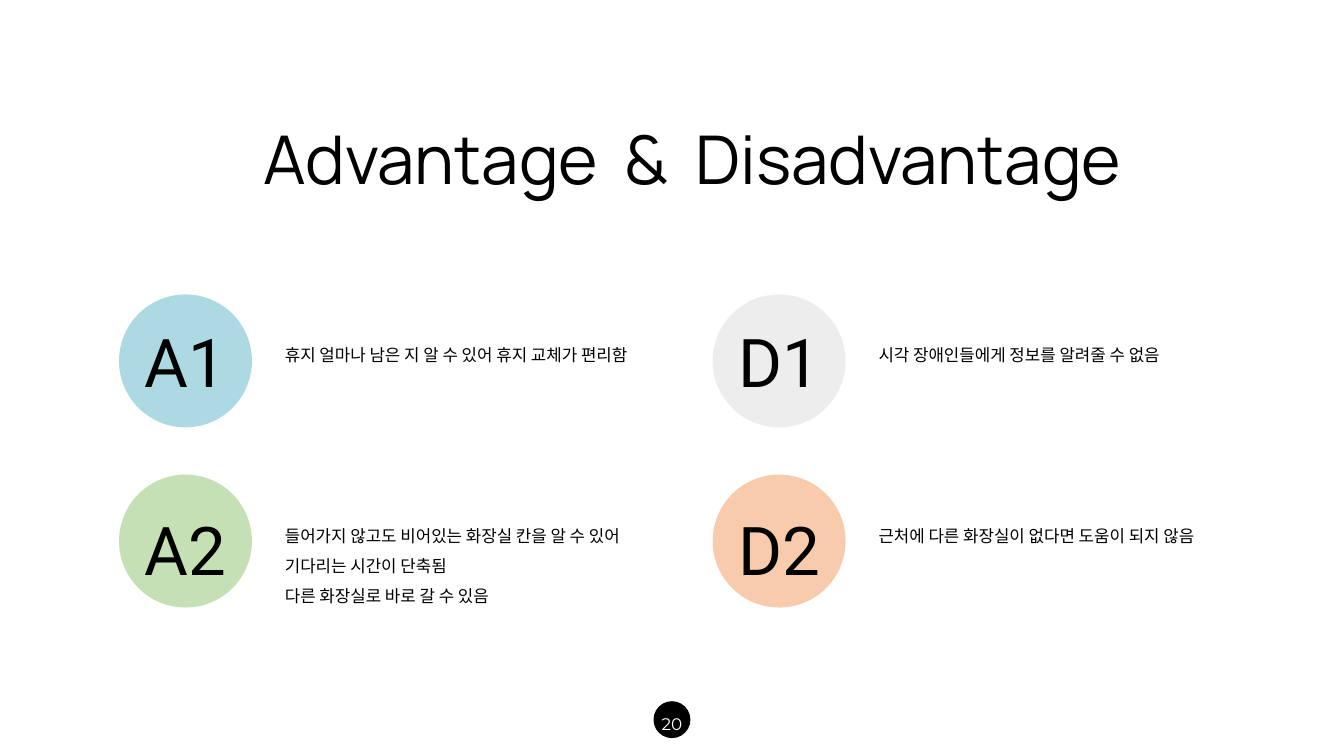
from pptx import Presentation
from pptx.dml.color import RGBColor
from pptx.enum.shapes import MSO_SHAPE
from pptx.enum.text import MSO_ANCHOR, MSO_AUTO_SIZE, PP_ALIGN
from pptx.util import Cm, Pt

BLACK = RGBColor(0x00, 0x00, 0x00)
WHITE = RGBColor(0xFF, 0xFF, 0xFF)
BLUE = RGBColor(0xAC, 0xD9, 0xE2)
GREEN = RGBColor(0xC5, 0xE0, 0xB4)
GRAY = RGBColor(0xED, 0xED, 0xED)
PEACH = RGBColor(0xF8, 0xCB, 0xAD)

STYLE = {
    "title": ({"name": "Manrope", "size": Pt(48)}, {"alignment": PP_ALIGN.LEFT, "line_spacing": 1.0}, BLACK),
    "label": ({"name": "Roboto", "size": Pt(48)}, {"alignment": PP_ALIGN.CENTER}, BLACK),
    "note": ({"name": "Manrope", "size": Pt(12)}, {"line_spacing": 1.5}, BLACK),
    "page": ({"name": "Montserrat", "size": Pt(12)}, {"alignment": PP_ALIGN.CENTER, "line_spacing": 1.5}, WHITE),
}
FRAME = {"word_wrap": True, "auto_size": MSO_AUTO_SIZE.NONE, "vertical_anchor": MSO_ANCHOR.TOP}
SIZE = 3.35
COLS = 3, 17.96
ROWS = 7.42, 11.96
DROPS = 0.52, 0.72
ITEMS = [
    (0, 0, "A1", BLUE, ["휴지 얼마나 남은 지 알 수 있어 휴지 교체가 편리함"]),
    (0, 1, "A2", GREEN, ["들어가지 않고도 비어있는 화장실 칸을 알 수 있어 기다리는 시간이 단축됨",
                         "다른 화장실로 바로 갈 수 있음"]),
    (1, 0, "D1", GRAY, ["시각 장애인들에게 정보를 알려줄 수 없음"]),
    (1, 1, "D2", PEACH, ["근처에 다른 화장실이 없다면 도움이 되지 않음"]),
]


def format(item, values):
    for key, value in values.items():
        setattr(item, key, value)


class Deck:
    """Holds the text styles and the current slide."""

    def __init__(self, style):
        self.style = style
        self.show = Presentation()
        format(self.show, {"slide_width": Cm(33.87), "slide_height": Cm(19.05)})
        self.slide = self.show.slides.add_slide(self.show.slide_layouts[5])

    def fill(self, frame, kind, lines):
        font, para, color = self.style[kind]
        format(frame, FRAME)
        frame.text = "\n".join(lines)
        for line in frame.paragraphs:
            format(line, para)
            for run in line.runs:
                format(run.font, font)
                run.font.color.rgb = color

    def title(self, text, left, top, width, height):
        head = self.slide.shapes.title
        format(head, {"left": Cm(left), "top": Cm(top), "width": Cm(width), "height": Cm(height)})
        self.fill(head.text_frame, "title", [text])

    def text(self, kind, lines, left, top, width, height):
        box = self.slide.shapes.add_textbox(Cm(left), Cm(top), Cm(width), Cm(height))
        self.fill(box.text_frame, kind, lines)

    def disc(self, left, top, size, color):
        disc = self.slide.shapes.add_shape(MSO_SHAPE.OVAL, Cm(left), Cm(top), Cm(size), Cm(size))
        disc.shadow.inherit = False
        disc.fill.solid()
        disc.fill.fore_color.rgb = color
        disc.line.fill.background()

    def item(self, col, row, label, color, lines):
        left, top = COLS[col], ROWS[row]
        self.disc(left, top, SIZE, color)
        self.text("label", [label], left + 0.33, top + DROPS[row], 2.69, 2.31)
        self.text("note", lines, left + 3.93, top + 0.9, 10, 0.25 + 0.77 * (len(lines) + 1))


def main():
    deck = Deck(STYLE)
    deck.title("Advantage  &  Disadvantage", 6.38, 2.82, 22.43, 2.31)
    for item in ITEMS:
        deck.item(*item)
    deck.disc(16.47, 17.67, 0.93, BLACK)
    deck.text("page", ["20"], 16.3, 17.6, 1.27, 0.94)
    deck.show.save("out.pptx")


if __name__ == "__main__":
    main()
